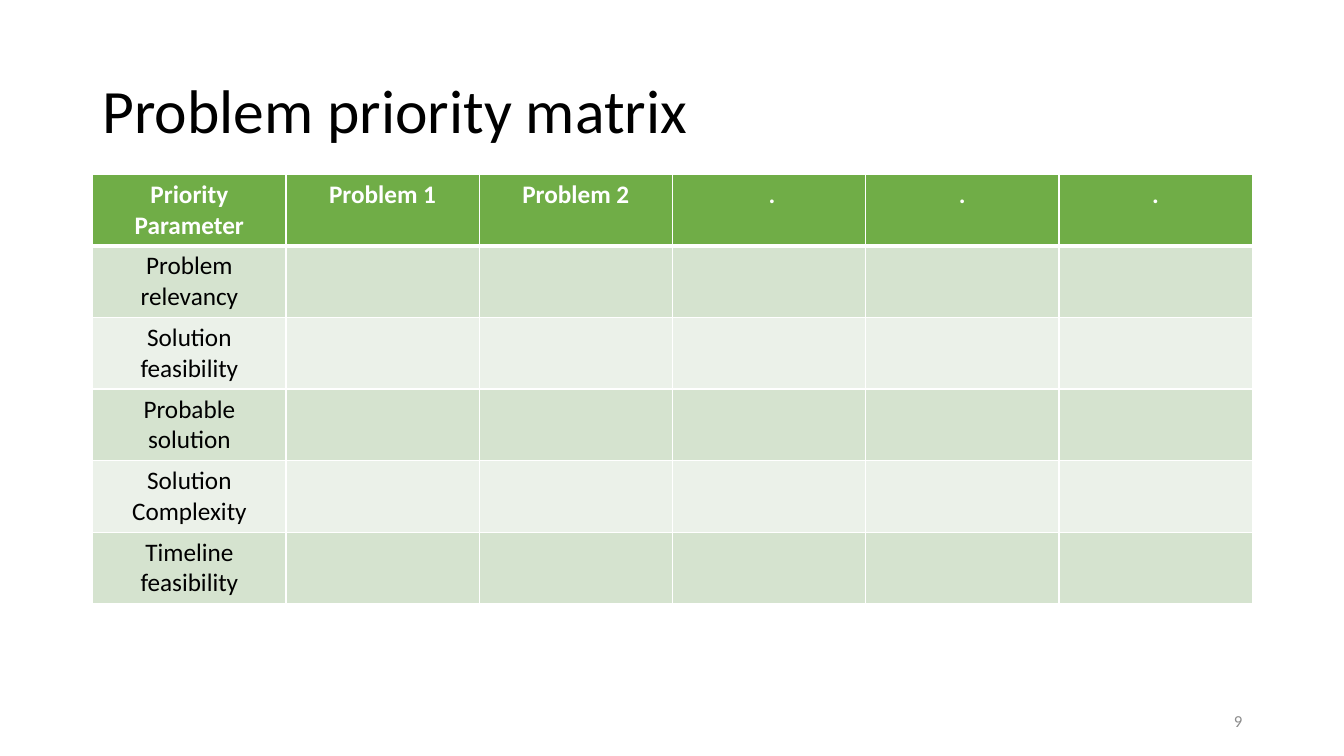
"""Build the problem priority matrix slide."""
from lxml import etree
from pptx import Presentation
from pptx.dml.color import RGBColor as RGB
from pptx.enum.text import MSO_ANCHOR as Anchor, PP_ALIGN as Align
from pptx.oxml.ns import qn
from pptx.util import Inches, Pt

BLACK = RGB(0x00, 0x00, 0x00)
WHITE = RGB(0xFF, 0xFF, 0xFF)
GRAY = RGB(0x8C, 0x8C, 0x8C)
GREEN = RGB(0x70, 0xAD, 0x47)
LIGHT = RGB(0xD5, 0xE3, 0xCF)
PALE = RGB(0xEB, 0xF1, 0xE9)

HEADS = ["Priority Parameter", "Problem 1", "Problem 2", " .", ".", "."]
LABELS = ["Problem relevancy", "Solution feasibility", "Probable solution",
          "Solution Complexity", "Timeline feasibility"]


def write(para, text, color, align, form):
    para.alignment = align
    run = para.add_run()
    run.text = text
    run.font.color.rgb = color
    for key, value in form.items():
        setattr(run.font, key, value)


def border(cell, widths):
    props = cell._tc.get_or_add_tcPr()
    for spot, (side, width) in enumerate(widths.items()):
        line = etree.Element(qn("a:ln" + side), w=str(Pt(width)))
        fill = etree.SubElement(line, qn("a:solidFill"))
        etree.SubElement(fill, qn("a:srgbClr"), val=str(WHITE))
        props.insert(spot, line)


deck = Presentation()
deck.slide_width, deck.slide_height = Inches(13.33), Inches(7.5)
slide = deck.slides.add_slide(deck.slide_layouts[6])

texts = [
    ("Problem priority matrix", (0.92, 0.4, 11.5, 1.45), 44, BLACK, Align.LEFT, 0.9),
    ("9", (9.42, 6.95, 3, 0.4), 12, GRAY, Align.RIGHT, 1.0),
]
for text, place, size, color, align, space in texts:
    frame = slide.shapes.add_textbox(*map(Inches, place)).text_frame
    frame.word_wrap = True
    frame.vertical_anchor = Anchor.MIDDLE
    frame.paragraphs[0].line_spacing = space
    write(frame.paragraphs[0], text, color, align, {"name": "Calibri", "size": Pt(size)})

rows = [HEADS] + [[label] + [""] * 5 for label in LABELS]
table = slide.shapes.add_table(len(rows), len(HEADS), Inches(0.92), Inches(1.73),
                               Inches(11.5), Inches(4.26)).table
for r, row in enumerate(rows):
    head = r == 0
    tint = GREEN if head else (LIGHT if r % 2 else PALE)
    form = {"name": "Calibri", "size": Pt(18), "bold": head}
    for c, text in enumerate(row):
        cell = table.cell(r, c)
        cell.fill.solid()
        cell.fill.fore_color.rgb = tint
        border(cell, {"L": 1, "R": 1, "T": 3 if r == 1 else 1, "B": 3 if head else 1})
        if text:
            write(cell.text_frame.paragraphs[0], text, WHITE if head else BLACK,
                  Align.CENTER, form)

deck.save("out.pptx")
